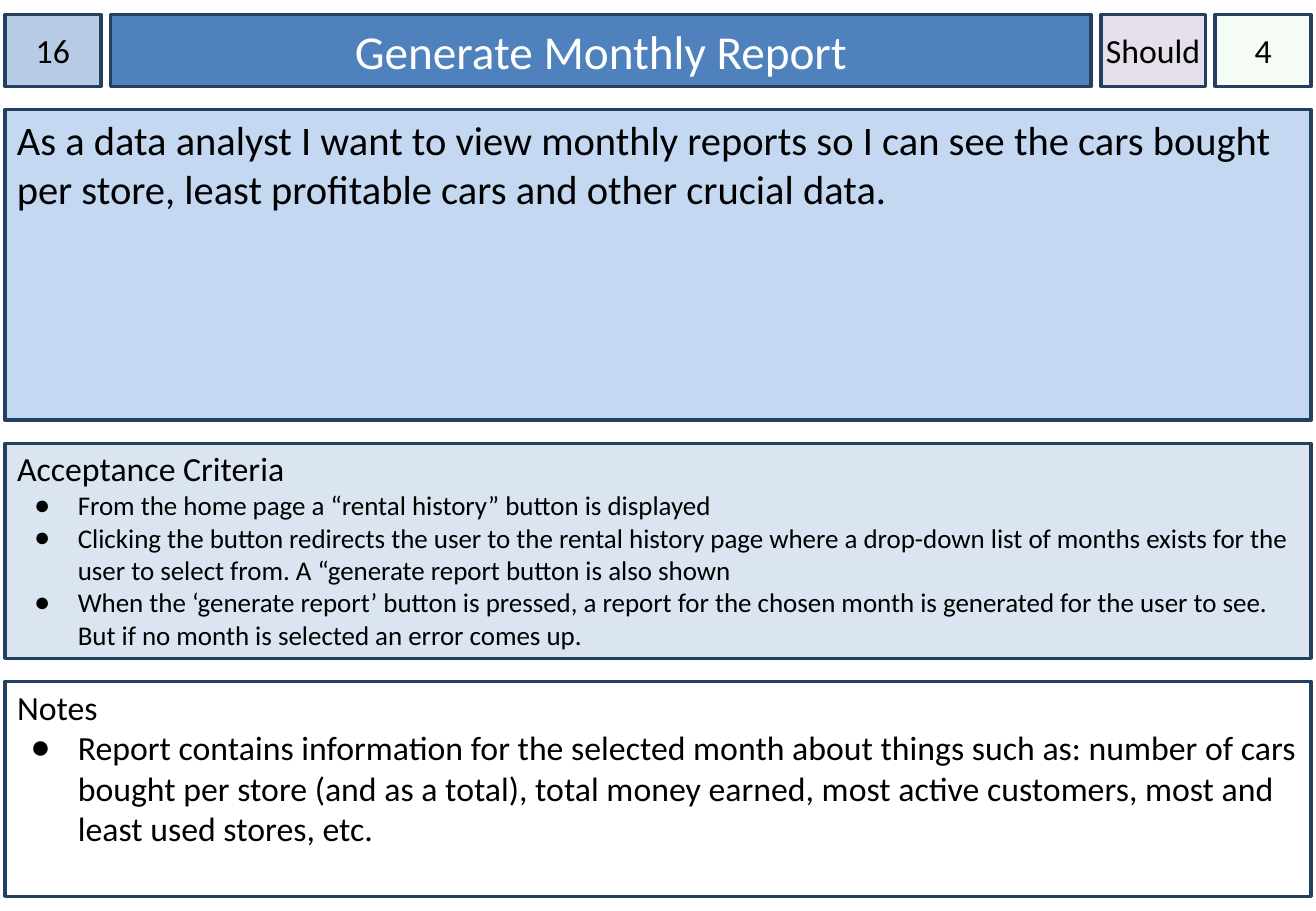
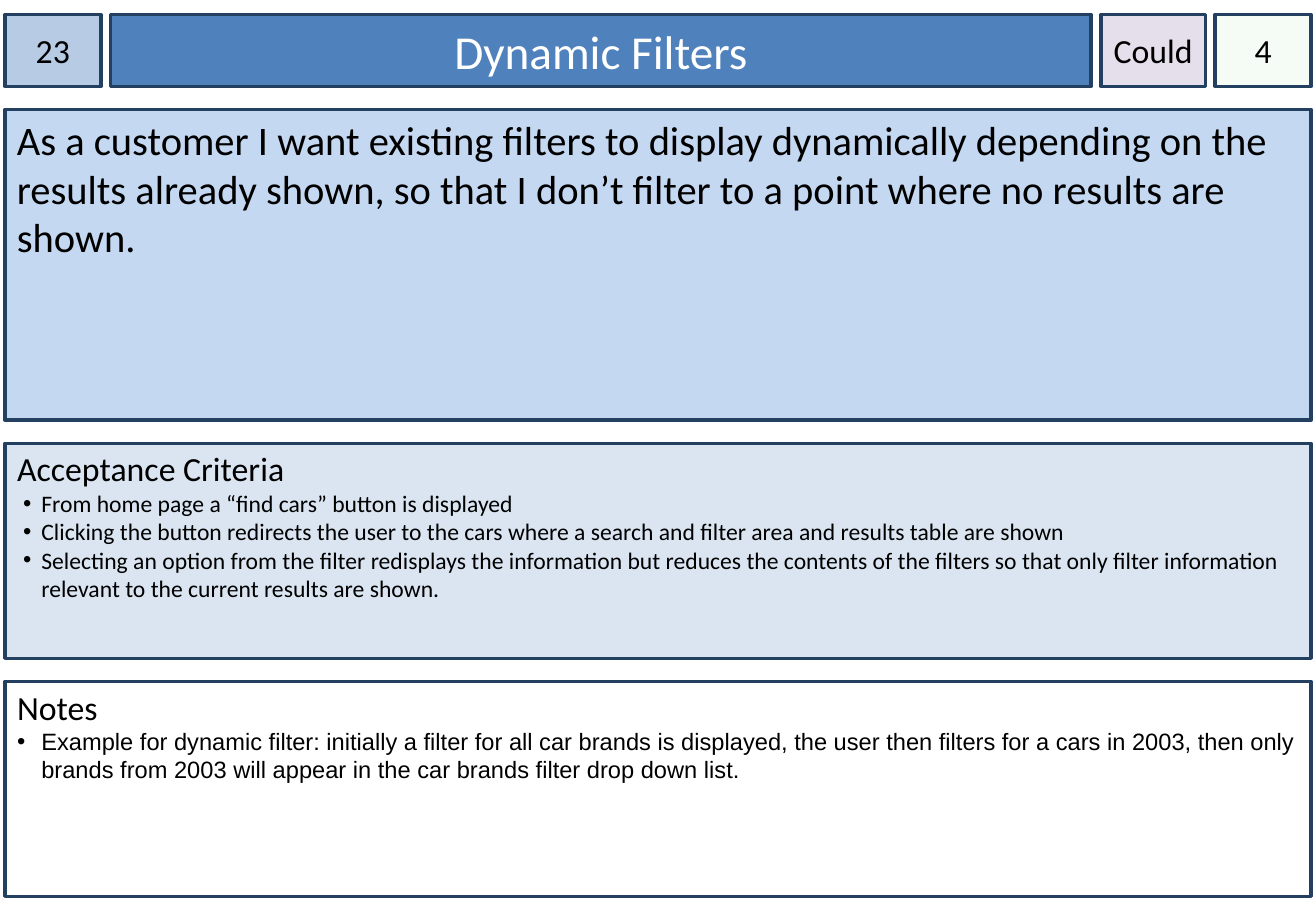
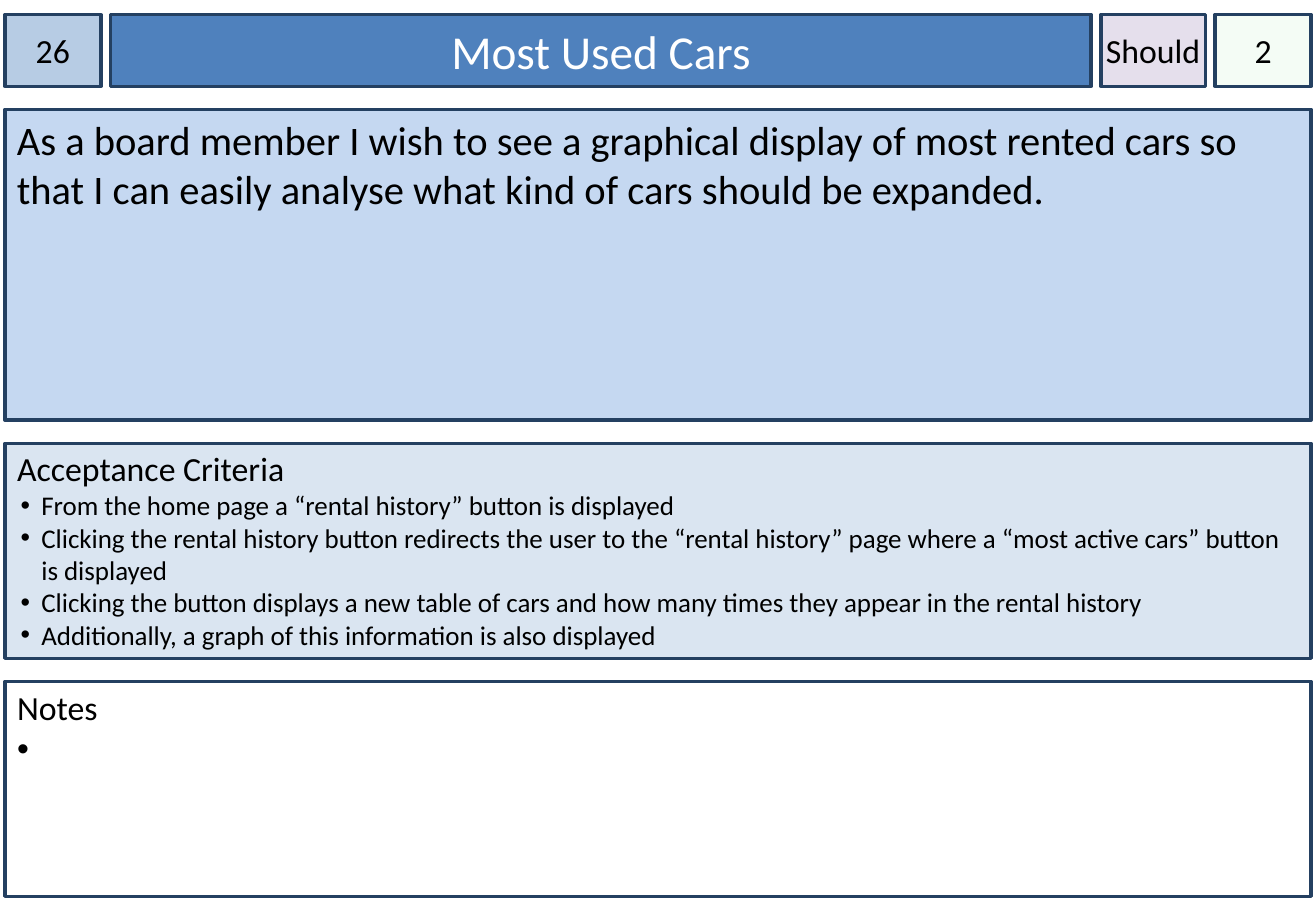
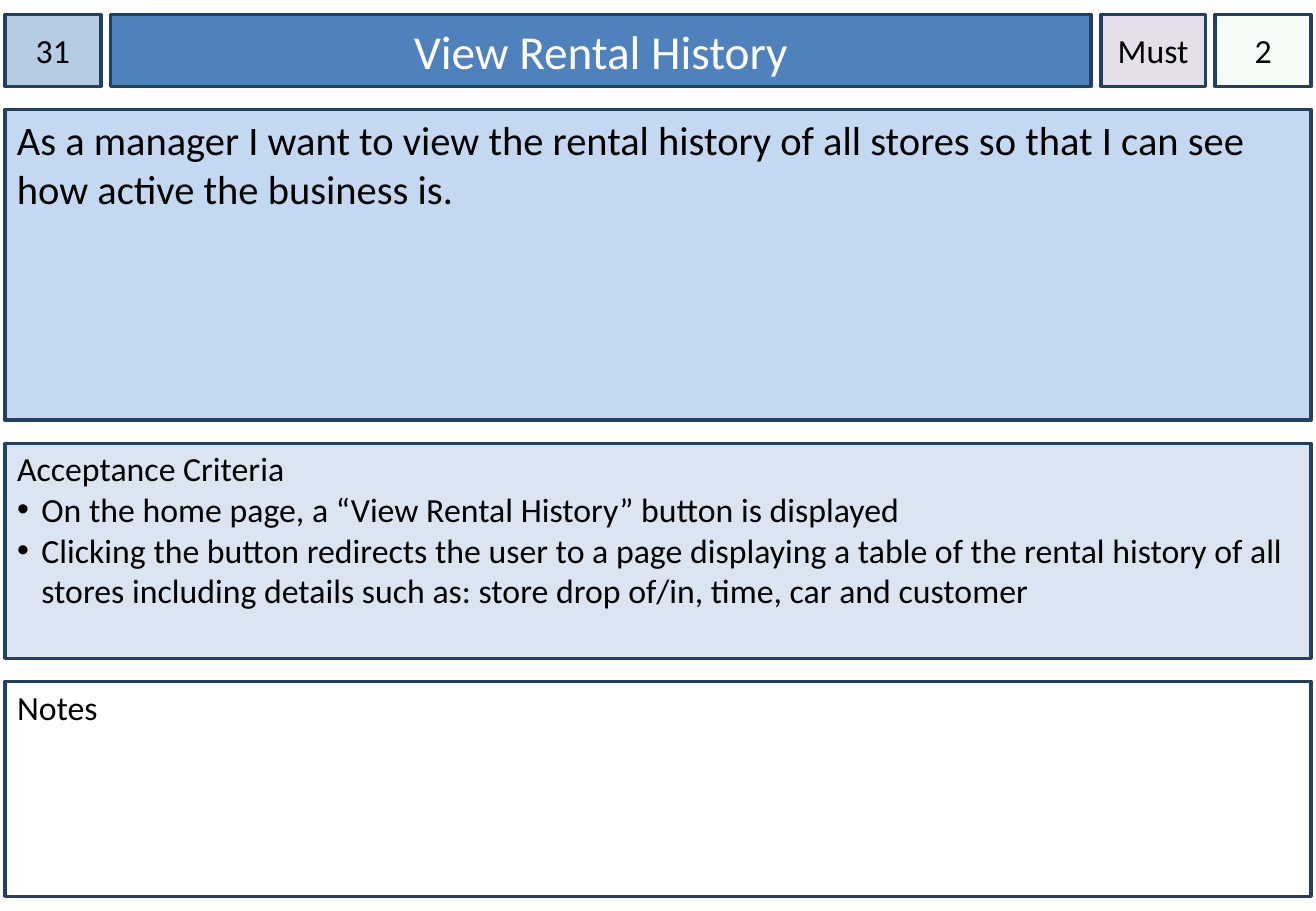
"""Build a deck of user story cards."""
from lxml.etree import SubElement
from pptx import Presentation
from pptx.dml.color import RGBColor
from pptx.enum.shapes import MSO_SHAPE
from pptx.enum.text import MSO_ANCHOR, MSO_AUTO_SIZE, PP_ALIGN
from pptx.oxml.ns import qn
from pptx.util import Inches, Pt

HUES = {
    "line": "244061", "text": "000000", "white": "FFFFFF",
    "number": "B7CCE4", "title": "4F81BD", "rank": "E5DFEC",
    "points": "CCF0CD", "story": "C5D8F1", "tests": "DAE5F1", "notes": "FFFFFF",
}
EDGE, TOP, WIDE = 0.04, 0.12, 10.75
GAP_X, GAP_Y = 0.08, 0.19
HEAD = [("number", 0.79), ("title", 8.07), ("rank", 0.86), ("points", 0.79)]
ROWS = [("head", 0.59), ("story", 2.56), ("tests", 1.77), ("notes", 1.77)]
LABELS = {"tests": "Acceptance Criteria", "notes": "Notes"}
HOLDERS = {"title": 0, "tests": 1, "notes": 2}

CARDS = [
    {
        "number": "16", "title": "Generate Monthly Report", "rank": "Should", "points": "4",
        "story": "As a data analyst I want to view monthly reports so I can see the cars bought per store, least profitable cars and other crucial data.",
        "tests": [
            "From the home page a “rental history” button is displayed",
            "Clicking the button redirects the user to the rental history page where a drop-down list of months exists for the user to select from. A “generate report button is also shown",
            "When the ‘generate report’ button is pressed, a report for the chosen month is generated for the user to see. But if no month is selected an error comes up.",
        ],
        "notes": ["Report contains information for the selected month about things such as: number of cars bought per store (and as a total), total money earned, most active customers, most and least used stores, etc."],
        "style": {
            "tests": {"size": 16, "mark": "●", "left": 0.5, "hang": 0.36},
            "notes": {"mark": "●", "left": 0.5, "hang": 0.39},
        },
    },
    {
        "number": "23", "title": "Dynamic Filters", "rank": "Could", "points": "4",
        "story": "As a customer I want existing filters to display dynamically depending on the results already shown, so that I don’t filter to a point where no results are shown.",
        "tests": [
            "From home page a “find cars” button is displayed",
            "Clicking the button redirects the user to the cars where a search and filter area and results table are shown",
            "Selecting an option from the filter redisplays the information but reduces the contents of the filters so that only filter information relevant to the current results are shown.",
        ],
        "notes": ["Example for dynamic filter: initially a filter for all car brands is displayed, the user then filters for a cars in 2003, then only brands from 2003 will appear in the car brands filter drop down list."],
        "style": {
            "tests": {"size": 14, "hang": 0.15},
            "notes": {"size": 14, "face": "Arial"},
        },
    },
    {
        "number": "26", "title": "Most Used Cars", "rank": "Should", "points": "2",
        "story": "As a board member I wish to see a graphical display of most rented cars so that I can easily analyse what kind of cars should be expanded.",
        "tests": [
            "From the home page a “rental history” button is displayed",
            "Clicking the rental history button redirects the user to the “rental history” page where a “most active cars” button is displayed",
            "Clicking the button displays a new table of cars and how many times they appear in the rental history",
            "Additionally, a graph of this information is also displayed",
        ],
        "notes": ["•"],
        "style": {
            "tests": {"size": 16, "hang": 0.17},
            "notes": {"mark": None, "left": 0, "hang": 0, "face": "Arial"},
        },
    },
    {
        "number": "31", "title": "View Rental History", "rank": "Must", "points": "2",
        "story": "As a manager I want to view the rental history of all stores so that I can see how active the business is.",
        "tests": [
            "On the home page, a “View Rental History” button is displayed",
            "Clicking the button redirects the user to a page displaying a table of the rental history of all stores including details such as: store drop of/in, time, car and customer",
        ],
        "notes": [],
        "style": {},
    },
]


def places():
    """Return the left, top, width and height of every box by name."""
    spots, top = {}, TOP
    for name, high in ROWS:
        left = EDGE
        for part, wide in HEAD if name == "head" else [(name, WIDE)]:
            spots[part] = [Inches(n) for n in (left, top, wide, high)]
            left += wide + GAP_X
        top += high + GAP_Y
    return spots


def write(para, text, size=20, hue="text", face="Calibri", align=PP_ALIGN.LEFT,
          mark=None, left=0.0, hang=0.0):
    """Fill one paragraph, with a hanging bullet if a mark is given."""
    para.text = text
    para.alignment = align
    para.space_before = Pt(0)
    props = para._p.get_or_add_pPr()
    props.set("marL", str(Inches(left)))
    props.set("indent", str(-Inches(hang)))
    if mark:
        tint = SubElement(props, qn("a:buClr"))
        SubElement(tint, qn("a:srgbClr"), val=HUES["text"])
        SubElement(props, qn("a:buFont"), typeface="Arial")
        SubElement(props, qn("a:buChar"), char=mark)
    else:
        SubElement(props, qn("a:buNone"))
    font = para.font
    font.name, font.size, font.bold = face, Pt(size), False
    font.color.rgb = RGBColor.from_string(HUES[hue])


def add_box(slide, name, spot):
    """Place one framed box and return its text frame."""
    if name in HOLDERS:
        box = slide.placeholders[HOLDERS[name]]
        box.left, box.top, box.width, box.height = spot
    else:
        box = slide.shapes.add_shape(MSO_SHAPE.RECTANGLE, *spot)
        box.shadow.inherit = False
    box.fill.solid()
    box.fill.fore_color.rgb = RGBColor.from_string(HUES[name])
    if name == "points":
        tint = box._element.spPr.find(".//" + qn("a:srgbClr"))
        SubElement(tint, qn("a:alpha"), val="20000")
    box.line.color.rgb = RGBColor.from_string(HUES["line"])
    box.line.width = Pt(2)
    frame = box.text_frame
    frame.word_wrap = True
    frame.auto_size = MSO_AUTO_SIZE.NONE
    side = 0 if name in ("number", "rank", "points") else 0.1
    frame.margin_left = frame.margin_right = Inches(side)
    frame.margin_top = Inches(0.04 if name in LABELS else 0.05)
    frame.margin_bottom = Inches(0.05)
    in_head = name in dict(HEAD)
    frame.vertical_anchor = MSO_ANCHOR.MIDDLE if in_head else MSO_ANCHOR.TOP
    return frame


def add_card(deck, card, spots):
    """Add one story card slide."""
    slide = deck.slides.add_slide(deck.slide_layouts.get_by_name("Two Content"))
    for name, spot in spots.items():
        frame = add_box(slide, name, spot)
        first = frame.paragraphs[0]
        if name in LABELS:
            write(first, LABELS[name])
            look = {"mark": "•", "left": 0.2, "hang": 0.2} | card["style"].get(name, {})
            for item in card[name]:
                write(frame.add_paragraph(), item, **look)
        elif name == "story":
            write(first, card[name], size=24)
        elif name == "title":
            write(first, card[name], size=28, hue="white", align=PP_ALIGN.CENTER)
        else:
            write(first, card[name], align=PP_ALIGN.CENTER)


def main():
    """Build and save the deck."""
    deck = Presentation()
    deck.slide_width, deck.slide_height = Inches(10.83), Inches(7.5)
    spots = places()
    for card in CARDS:
        add_card(deck, card, spots)
    deck.save("out.pptx")


if __name__ == "__main__":
    main()
